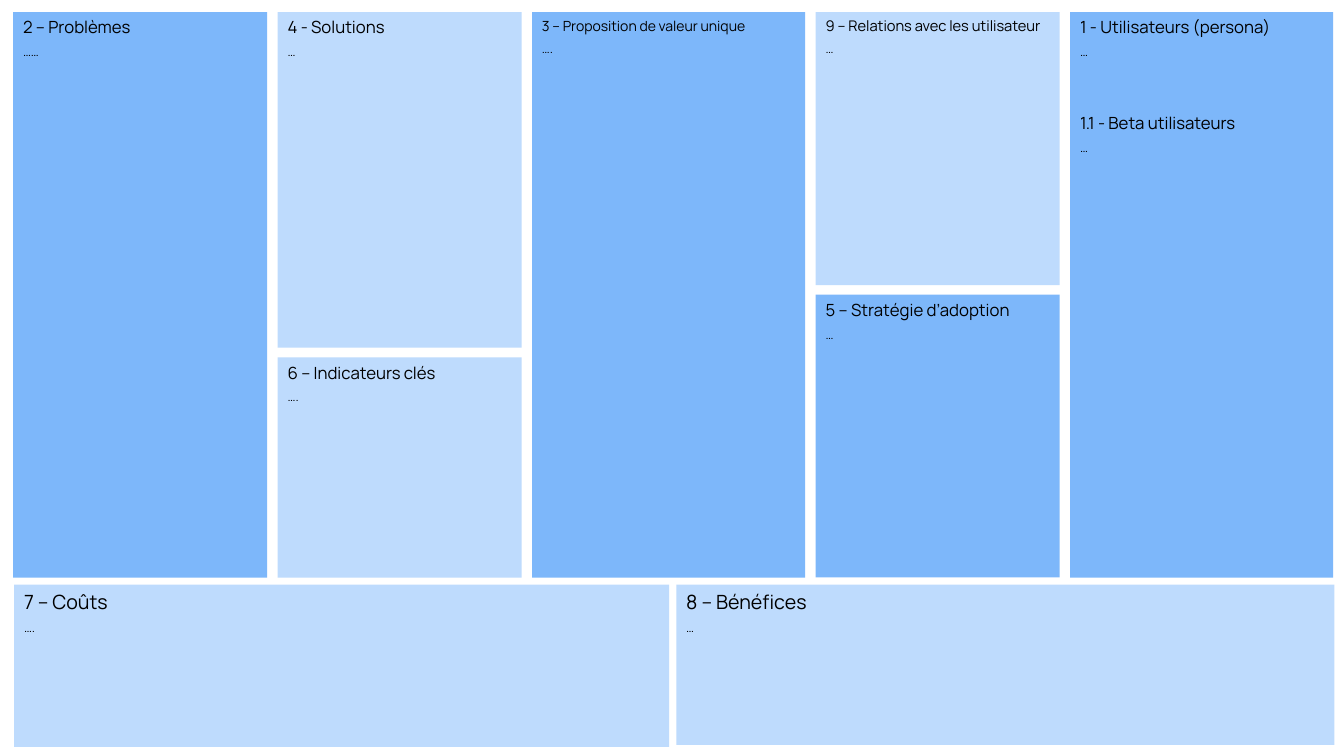
"""Build a lean canvas slide with nine blocks."""
from dataclasses import dataclass

from pptx import Presentation
from pptx.dml.color import RGBColor
from pptx.enum import shapes, text
from pptx.util import Pt


@dataclass(frozen=True)
class Theme:
    font: str = "Manrope"
    ink: RGBColor = RGBColor(0x00, 0x00, 0x00)
    strong: RGBColor = RGBColor(0x7D, 0xB7, 0xFA)
    soft: RGBColor = RGBColor(0xBE, 0xDB, 0xFD)
    compact: float = 10
    snug: float = 10.5
    heading: float = 12
    large: float = 14
    body: float = 9


@dataclass(frozen=True)
class Section:
    heading: str
    body: str = "…"
    size: float = Theme.heading
    space_before: float = 0


@dataclass(frozen=True)
class Block:
    height: float
    fill: RGBColor
    sections: tuple[Section, ...]


@dataclass(frozen=True)
class Column:
    width: float
    blocks: tuple[Block, ...]


THEME = Theme()
CANVAS_LEFT, CANVAS_TOP, CANVAS_HEIGHT = 9.36, 8.64, 403.92
COLUMN_GAP, BLOCK_GAP = 7.5, 6.8
FOOTER_LEFT, FOOTER_TOP, FOOTER_GAP = 10.08, 417.6, 5.04
BODY_GAP, SECTION_GAP = 4.7, 38.6

CANVAS = (
    Column(181.44, (
        Block(CANVAS_HEIGHT, THEME.strong, (Section("2 – Problèmes", "……"),)),
    )),
    Column(174.24, (
        Block(239.76, THEME.soft, (Section("4 - Solutions"),)),
        Block(157.36, THEME.soft, (Section("6 – Indicateurs clés", "…."),)),
    )),
    Column(195.12, (
        Block(CANVAS_HEIGHT, THEME.strong, (
            Section("3 – Proposition de valeur unique", "….", THEME.compact),
        )),
    )),
    Column(174.24, (
        Block(195.12, THEME.soft, (
            Section("9 – Relations avec les utilisateur", size=THEME.snug),
        )),
        Block(202, THEME.strong, (Section("5 – Stratégie d’adoption"),)),
    )),
    Column(187.92, (
        Block(CANVAS_HEIGHT, THEME.strong, (
            Section("1 - Utilisateurs (persona)"),
            Section("1.1 - Beta utilisateurs", space_before=SECTION_GAP),
        )),
    )),
)
FOOTER = (
    Column(468, (
        Block(115.92, THEME.soft, (Section("7 – Coûts", "….", THEME.large),)),
    )),
    Column(470.16, (
        Block(114.48, THEME.soft, (Section("8 – Bénéfices", size=THEME.large),)),
    )),
)


def write(paragraph, content: str, *, size: float, space_before: float = 0) -> None:
    """Fill a paragraph with formatted text."""
    paragraph.alignment = text.PP_ALIGN.LEFT
    paragraph.space_before = Pt(space_before)
    run = paragraph.add_run()
    run.text = content
    run.font.name = THEME.font
    run.font.size = Pt(size)
    run.font.color.rgb = THEME.ink


def draw_block(slide, block: Block, left: float, top: float, width: float) -> None:
    """Draw one canvas block with its sections."""
    panel = slide.shapes.add_shape(
        shapes.MSO_SHAPE.RECTANGLE, Pt(left), Pt(top), Pt(width), Pt(block.height)
    )
    panel.shadow.inherit = False
    panel.fill.solid()
    panel.fill.fore_color.rgb = block.fill
    panel.line.fill.background()
    frame = panel.text_frame
    frame.word_wrap = True
    frame.vertical_anchor = text.MSO_ANCHOR.TOP
    for index, section in enumerate(block.sections):
        heading = frame.add_paragraph() if index else frame.paragraphs[0]
        write(heading, section.heading, size=section.size,
              space_before=section.space_before)
        write(frame.add_paragraph(), section.body, size=THEME.body,
              space_before=BODY_GAP)


def draw_columns(slide, columns: tuple[Column, ...], left: float, top: float,
                 gap: float) -> None:
    """Draw columns side by side, stacking the blocks of each."""
    for column in columns:
        block_top = top
        for block in column.blocks:
            draw_block(slide, block, left, block_top, column.width)
            block_top += block.height + BLOCK_GAP
        left += column.width + gap


def main() -> None:
    """Build and save the slide."""
    deck = Presentation()
    deck.slide_width, deck.slide_height = Pt(960), Pt(540)
    slide = deck.slides.add_slide(deck.slide_layouts[6])
    draw_columns(slide, CANVAS, CANVAS_LEFT, CANVAS_TOP, COLUMN_GAP)
    draw_columns(slide, FOOTER, FOOTER_LEFT, FOOTER_TOP, FOOTER_GAP)
    deck.save("out.pptx")


if __name__ == "__main__":
    main()
